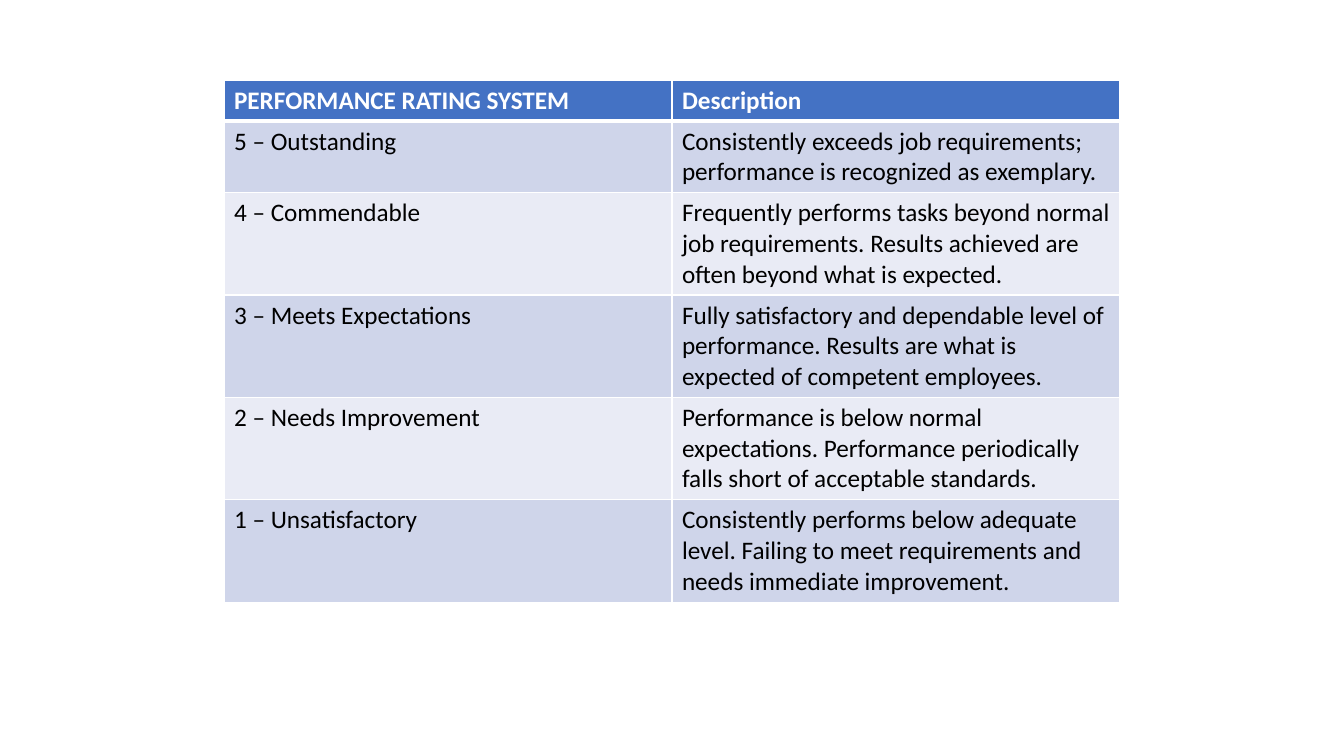
"""Build a slide with a table that explains the performance rating system."""
from lxml import etree
from pptx import Presentation
from pptx.dml.color import RGBColor
from pptx.oxml.ns import qn
from pptx.util import Emu, Pt

PIXEL = 914400 / 100.8
WHITE, BLACK = "FFFFFF", "000000"
HEADER_BLUE = "4472C4"
BANDS = ["E9EBF5", "CFD5EA"]
THIN, THICK = 1, 3

RATINGS = [
    ("PERFORMANCE RATING SYSTEM", "Description"),
    ("5 – Outstanding",
     "Consistently exceeds job requirements; performance is recognized as exemplary."),
    ("4 – Commendable",
     "Frequently performs tasks beyond normal job requirements. "
     "Results achieved are often beyond what is expected."),
    ("3 – Meets Expectations",
     "Fully satisfactory and dependable level of performance. "
     "Results are what is expected of competent employees."),
    ("2 – Needs Improvement",
     "Performance is below normal expectations. "
     "Performance periodically falls short of acceptable standards."),
    ("1 – Unsatisfactory",
     "Consistently performs below adequate level. "
     "Failing to meet requirements and needs immediate improvement."),
]
LEFT, TOP, COLUMN_WIDTH, ROW_HEIGHT = 224, 80, 448, 41


def px(pixels):
    return Emu(round(pixels * PIXEL))


def rgb(color):
    return RGBColor.from_string(color)


prs = Presentation()
prs.slide_width, prs.slide_height = px(1344), px(756)
slide = prs.slides.add_slide(prs.slide_layouts[6])

rating_table = slide.shapes.add_table(
    len(RATINGS), 2, px(LEFT), px(TOP),
    px(2 * COLUMN_WIDTH), px(len(RATINGS) * ROW_HEIGHT)).table

for row, texts in enumerate(RATINGS):
    is_header = row == 0
    for column, text in enumerate(texts):
        cell = rating_table.cell(row, column)
        properties = cell._tc.get_or_add_tcPr()
        widths = {"a:lnL": THIN, "a:lnR": THIN,
                  "a:lnT": THICK if row == 1 else THIN,
                  "a:lnB": THICK if is_header else THIN}
        for side, width in widths.items():
            border = etree.SubElement(properties, qn(side), w=str(Pt(width)))
            border_fill = etree.SubElement(border, qn("a:solidFill"))
            etree.SubElement(border_fill, qn("a:srgbClr"), val=WHITE)
        cell.fill.solid()
        cell.fill.fore_color.rgb = rgb(HEADER_BLUE if is_header else BANDS[row % 2])
        run = cell.text_frame.paragraphs[0].add_run()
        run.text = text
        run.font.name = "Calibri"
        run.font.size = Pt(18)
        run.font.bold = is_header
        run.font.color.rgb = rgb(WHITE if is_header else BLACK)

prs.save("out.pptx")
